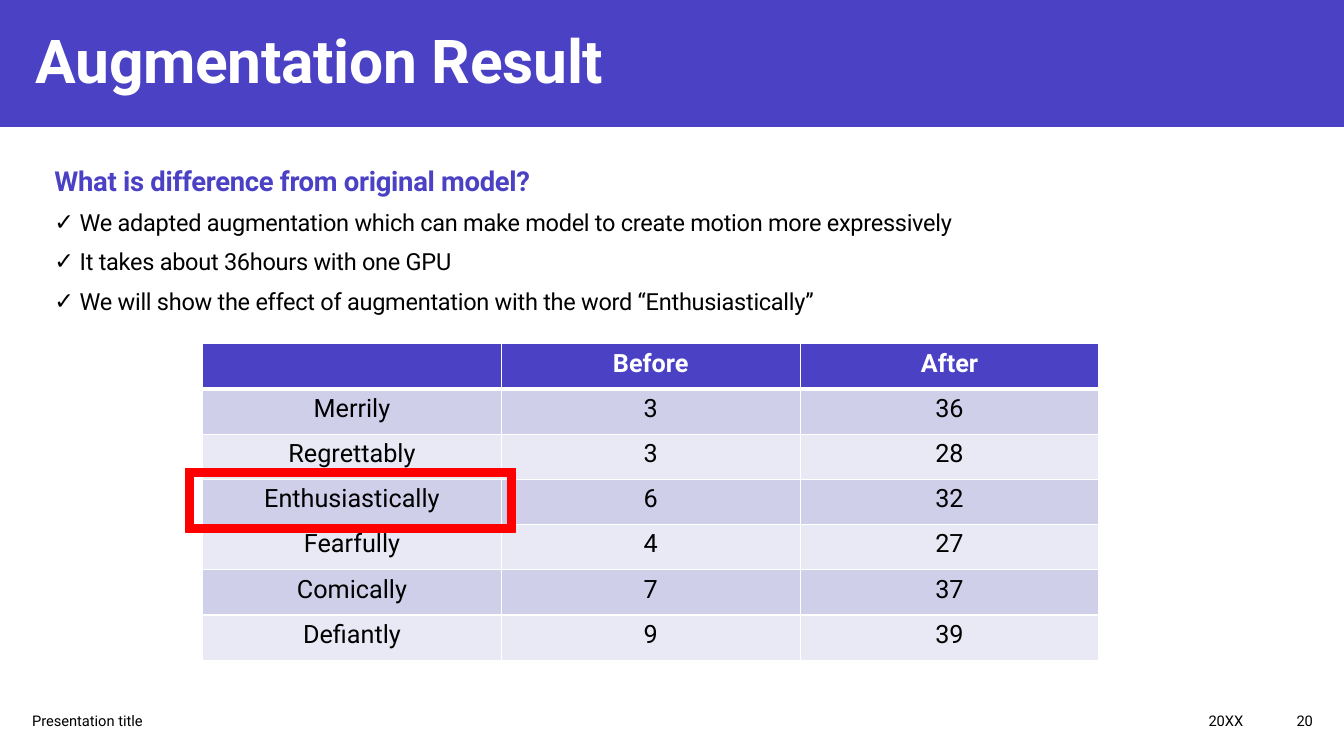
from dataclasses import dataclass

from lxml.etree import SubElement
from pptx import Presentation
from pptx.dml.color import RGBColor
from pptx.enum.shapes import MSO_SHAPE as Shape
from pptx.enum.text import MSO_ANCHOR as Anchor, MSO_AUTO_SIZE as AutoSize, PP_ALIGN as Align
from pptx.oxml.ns import qn
from pptx.util import Inches, Pt

TITLE = "Augmentation Result"
HEADING = "What is difference from original model?"
POINTS = [
    "We adapted augmentation which can make model to create motion more expressively",
    "It takes about 36hours with one GPU",
    "We will show the effect of augmentation with the word “Enthusiastically”",
]
TABLE = [
    ("", "Before", "After"),
    ("Merrily", "3", "36"),
    ("Regrettably", "3", "28"),
    ("Enthusiastically", "6", "32"),
    ("Fearfully", "4", "27"),
    ("Comically", "7", "37"),
    ("Defiantly", "9", "39"),
]
FOOTERS = [  # text, left, width, alignment
    ("Presentation title", 0.22, 5.29, Align.LEFT),
    ("20XX", 7.67, 4.76, Align.RIGHT),
    ("20", 12.43, 0.69, Align.RIGHT),
]
SLIDE_SIZE = (13.33, 7.5)


@dataclass(frozen=True)
class Theme:
    font: str = "Roboto"
    accent: str = "4A41C5"
    white: str = "FFFFFF"
    black: str = "000000"
    highlight: str = "FF0000"
    bands: tuple = ("D0CFEA", "E9E9F5")
    title_size: float = 43.2
    heading_size: float = 19.6
    point_size: float = 16.8
    table_size: float = 18
    footer_size: float = 10.5


THEME = Theme()


def color(code):
    return RGBColor.from_string(code)


def place(shape, left, top, width, height):
    shape.left, shape.top = Inches(left), Inches(top)
    shape.width, shape.height = Inches(width), Inches(height)


def style(para, size, code, bold=False, spacing=None):
    """Format every run of a paragraph; spacing is in hundredths of a point."""
    for span in para.runs:
        span.font.name = THEME.font
        span.font.size = Pt(size)
        span.font.bold = bold
        span.font.color.rgb = color(code)
        if spacing is not None:
            span.font._element.set("spc", str(spacing))


def add_solid(slide, preset, area, code):
    shape = slide.shapes.add_shape(preset, *map(Inches, area))
    shape.shadow.inherit = False
    shape.fill.solid()
    shape.fill.fore_color.rgb = color(code)
    shape.line.color.rgb = color(code)
    shape.line.width = Pt(1)
    return shape


def add_title(slide):
    band = add_solid(slide, Shape.RECTANGLE, (0, 0, SLIDE_SIZE[0], 1.26), THEME.accent)
    band.line.fill.background()
    band.element.getparent().insert(2, band.element)  # behind the title
    title = slide.shapes.title
    place(title, 0.25, 0.17, 10.3, 0.84)
    frame = title.text_frame
    frame.text = TITLE
    frame.auto_size = AutoSize.NONE
    frame.vertical_anchor = Anchor.MIDDLE
    frame.paragraphs[0].alignment = Align.LEFT
    style(frame.paragraphs[0], THEME.title_size, THEME.white, True, -20)


def add_points(slide):
    body = slide.placeholders[1]
    place(body, 0.44, 1.61, 11.23, 1.67)
    frame = body.text_frame
    frame.text = "\n".join([HEADING, *POINTS])
    frame.auto_size = AutoSize.NONE
    frame.vertical_anchor = Anchor.TOP
    for index, para in enumerate(frame.paragraphs):
        is_point = index > 0
        indent = Inches(0.25) if is_point else 0
        props = para._p.get_or_add_pPr()
        props.set("marL", str(indent))
        props.set("indent", str(-indent))
        if is_point:
            SubElement(props, qn("a:buChar")).set("char", "✓")
        else:
            SubElement(props, qn("a:buNone"))
        para.line_spacing = 0.9
        para.space_before = Pt(10 if is_point else 0)
        if is_point:
            style(para, THEME.point_size, THEME.black, spacing=-20)
        else:
            style(para, THEME.heading_size, THEME.accent, True, -20)


def add_borders(cell, top, bottom):
    """Draw white cell borders; top and bottom are widths in points."""
    props = cell._tc.get_or_add_tcPr()
    for index, (side, width) in enumerate(zip("LRTB", (1, 1, top, bottom))):
        line = SubElement(props, qn(f"a:ln{side}"), w=str(Pt(width)))
        fill = SubElement(line, qn("a:solidFill"))
        SubElement(fill, qn("a:srgbClr")).set("val", THEME.white)
        props.insert(index, line)


def add_results(slide):
    row_count, column_count = len(TABLE), len(TABLE[0])
    area = map(Inches, (2.01, 3.41, 8.89, 3.14))
    table = slide.shapes.add_table(row_count, column_count, *area).table
    for r, values in enumerate(TABLE):
        header = r == 0
        for c, value in enumerate(values):
            cell = table.cell(r, c)
            cell.text = value
            para = cell.text_frame.paragraphs[0]
            para.alignment = Align.CENTER
            style(para, THEME.table_size, THEME.white if header else THEME.black, header)
            cell.fill.solid()
            cell.fill.fore_color.rgb = color(THEME.accent if header else THEME.bands[(r - 1) % 2])
            add_borders(cell, 3 if r == 1 else 1, 3 if header else 1)


def add_footers(slide):
    for text, left, width, alignment in FOOTERS:
        box = slide.shapes.add_textbox(*map(Inches, (left, 6.95, width, 0.4)))
        frame = box.text_frame
        frame.word_wrap = True
        frame.vertical_anchor = Anchor.MIDDLE
        frame.text = text
        frame.paragraphs[0].alignment = alignment
        style(frame.paragraphs[0], THEME.footer_size, THEME.black)


def main():
    deck = Presentation()
    deck.slide_width, deck.slide_height = map(Inches, SLIDE_SIZE)
    page = deck.slides.add_slide(deck.slide_layouts[1])
    add_title(page)
    add_footers(page)
    add_results(page)
    add_points(page)
    add_solid(page, Shape.FRAME, (1.84, 4.65, 3.27, 0.63), THEME.highlight)
    deck.save("out.pptx")


if __name__ == "__main__":
    main()
